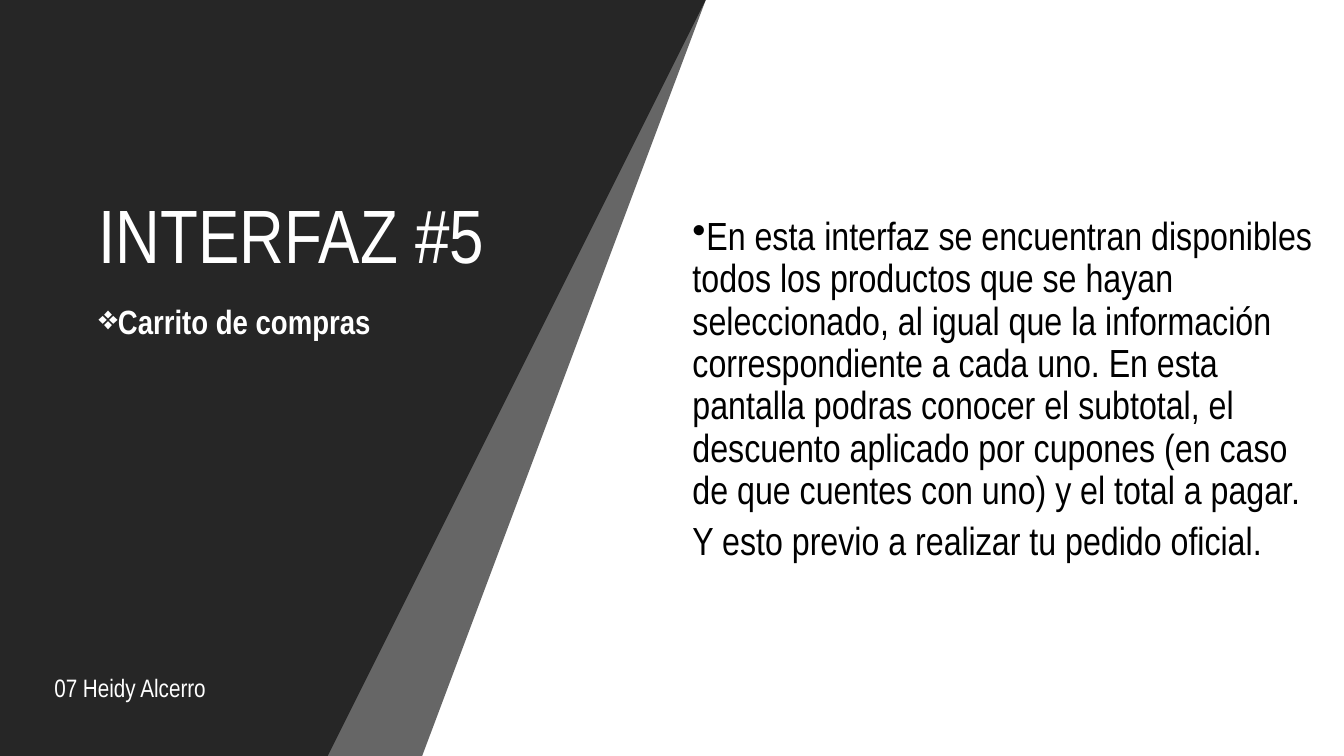
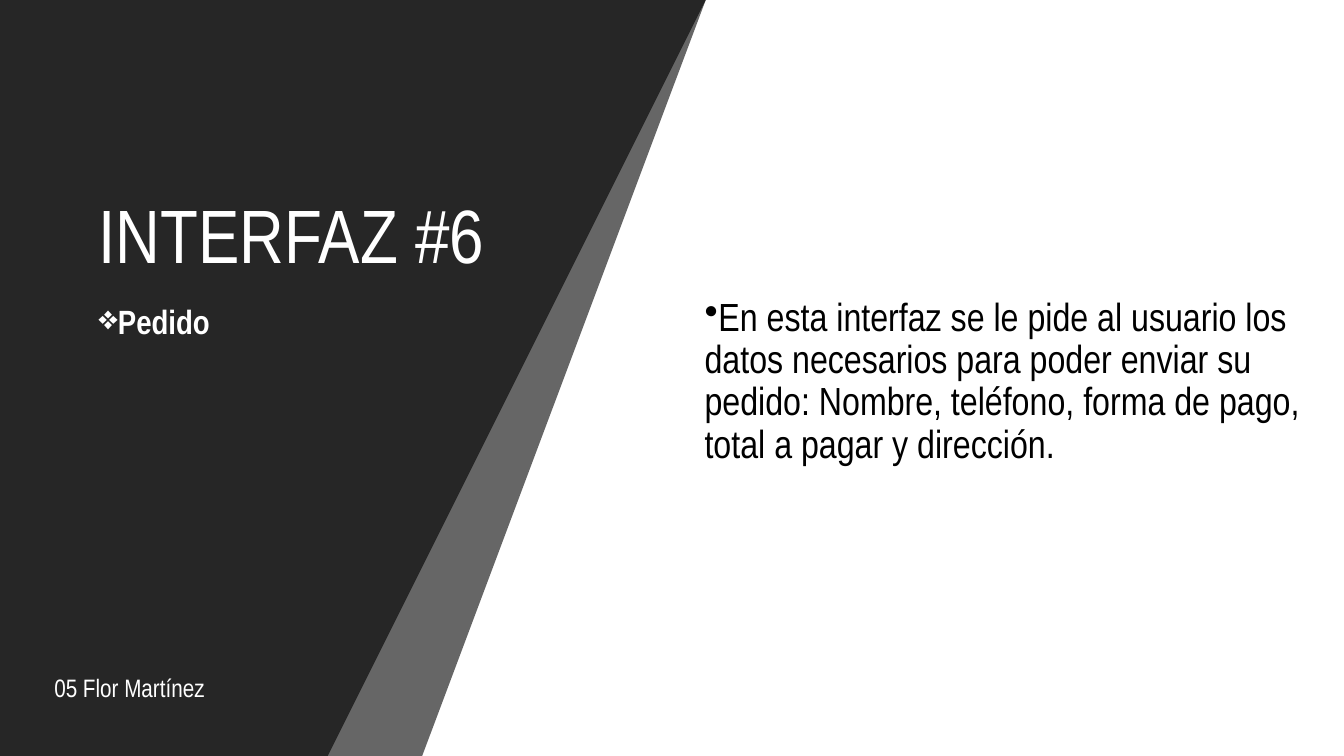
from lxml import etree
from pptx import Presentation
from pptx.dml.color import RGBColor
from pptx.enum.text import MSO_ANCHOR
from pptx.oxml.ns import qn
from pptx.util import Inches, Pt

FONT = "Arial Narrow"
DARK, WHITE, BLACK = "262626", "FFFFFF", "000000"
SLIDE_W, SLIDE_H = 13.33, 7.5
SLANT = 3.48

SCREENS = [
    {
        "title": "INTERFAZ #5",
        "subtitle": "Carrito de compras",
        "author": "07 Heidy Alcerro",
        "body_box": (6.77, 2.1, 6.44, 5.0),
        "body": [
            "En esta interfaz se encuentran disponibles todos los productos que se hayan "
            "seleccionado, al igual que la información correspondiente a cada uno. En esta "
            "pantalla podras conocer el subtotal, el descuento aplicado por cupones (en caso "
            "de que cuentes con uno) y el total a pagar.",
            "Y esto previo a realizar tu pedido oficial.",
        ],
    },
    {
        "title": "INTERFAZ #6",
        "subtitle": "Pedido",
        "author": "05 Flor Martínez",
        "body_box": (6.89, 2.9, 6.44, 3.93),
        "body": [
            "En esta interfaz se le pide al usuario los datos necesarios para poder enviar su "
            "pedido: Nombre, teléfono, forma de pago, total a pagar y dirección.",
        ],
    },
]


def paint(fill, color, alpha=None):
    fill.solid()
    fill.fore_color.rgb = RGBColor.from_string(color)
    if alpha is not None:
        clr = fill._xPr.find(qn("a:solidFill"))[0]
        etree.SubElement(clr, qn("a:alpha"), val=str(alpha * 1000))


def add_bullet(p, char, margin, indent):
    pPr = p._p.get_or_add_pPr()
    pPr.set("marL", str(Inches(margin)))
    pPr.set("indent", str(Inches(indent)))
    etree.SubElement(pPr, qn("a:buChar"), char=char)


def add_text(slide, box, lines, size, color, bold=False, anchor=MSO_ANCHOR.TOP,
             spacing=0.9, before=0, after=0):
    tf = slide.shapes.add_textbox(*map(Inches, box)).text_frame
    tf.word_wrap = True
    tf.vertical_anchor = anchor
    tf.text = "\n".join(lines)
    for p in tf.paragraphs:
        p.line_spacing = spacing
        p.space_before, p.space_after = Pt(before), Pt(after)
        for r in p.runs:
            r.font.name, r.font.size, r.font.bold = FONT, Pt(size), bold
            r.font.color.rgb = RGBColor.from_string(color)
    return tf


def add_slanted_panel(slide, top_width, alpha=None):
    corners = [(top_width, 0), (top_width - SLANT, SLIDE_H), (0, SLIDE_H)]
    builder = slide.shapes.build_freeform(0, 0, scale=Inches(1))
    builder.add_line_segments(corners, close=True)
    sp = builder.convert_to_shape()
    sp.shadow.inherit = False
    sp.line.fill.background()
    paint(sp.fill, DARK, alpha)


def add_heading(slide, left, title, subtitle):
    add_text(slide, (left, 0.37, 4.24, 2.46), [title], 54, WHITE, anchor=MSO_ANCHOR.BOTTOM)
    tf = add_text(slide, (left, 2.98, 3.89, 1.26), [subtitle], 24, WHITE, bold=True, before=10)
    add_bullet(tf.paragraphs[0], "❖", 0.13, -0.38)


def add_body(slide, box, lines):
    tf = add_text(slide, box, lines, 28, BLACK, after=6)
    add_bullet(tf.paragraphs[0], "•", 0, -0.25)


def add_screen_slide(prs, screen):
    slide = prs.slides.add_slide(prs.slide_layouts[6])
    paint(slide.background.fill, WHITE)
    add_slanted_panel(slide, 7.39, alpha=70)
    add_slanted_panel(slide, 6.51)
    add_body(slide, screen["body_box"], screen["body"])
    add_heading(slide, 0.88, screen["title"], screen["subtitle"])
    add_text(slide, (0.44, 6.62, 2.65, 0.4), [screen["author"]], 18, WHITE, spacing=1.0)


def main():
    prs = Presentation()
    prs.slide_width, prs.slide_height = Inches(SLIDE_W), Inches(SLIDE_H)
    for screen in SCREENS:
        add_screen_slide(prs, screen)
    prs.save("out.pptx")


if __name__ == "__main__":
    main()
